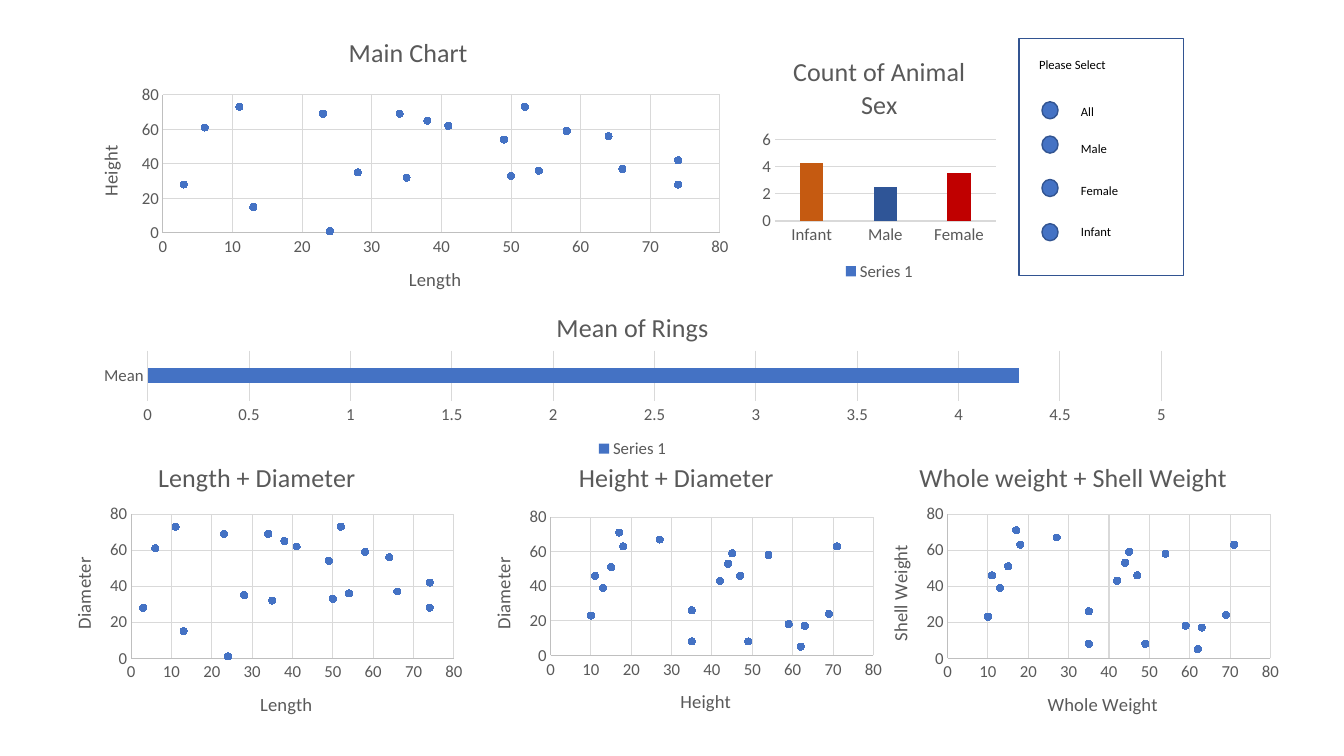
from lxml import etree
from pptx import Presentation
from pptx.chart.data import CategoryChartData, XyChartData
from pptx.dml.color import RGBColor
from pptx.enum.chart import XL_CHART_TYPE, XL_LEGEND_POSITION, XL_MARKER_STYLE, XL_TICK_MARK
from pptx.enum.shapes import MSO_SHAPE
from pptx.enum.text import MSO_AUTO_SIZE
from pptx.oxml import parse_xml
from pptx.oxml.ns import nsdecls, qn
from pptx.util import Pt

COLUMN = XL_CHART_TYPE.COLUMN_CLUSTERED
BAR = XL_CHART_TYPE.BAR_CLUSTERED
SCATTER = XL_CHART_TYPE.XY_SCATTER
BOTTOM = XL_LEGEND_POSITION.BOTTOM
CIRCLE = XL_MARKER_STYLE.CIRCLE
NO_TICK = XL_TICK_MARK.NONE
RECT, OVAL = MSO_SHAPE.RECTANGLE, MSO_SHAPE.OVAL
GROW = MSO_AUTO_SIZE.SHAPE_TO_FIT_TEXT

FONT = "Calibri"
COLORS = {
    "blue": "4472C4", "edge": "325491", "text": "595959", "black": "000000",
    "grid": "D9D9D9", "axis": "BFBFBF",
    "infant": "C55A11", "male": "2F5597", "female": "C00000",
}
LENGTHS = [
    (6, 61), (3, 28), (38, 65), (11, 73), (24, 1), (74, 28), (58, 59),
    (13, 15), (50, 33), (35, 32), (66, 37), (52, 73), (34, 69), (41, 62),
    (23, 69), (54, 36), (49, 54), (64, 56), (74, 42), (28, 35),
]
WEIGHTS = [
    (15, 51), (45, 59), (54, 58), (10, 23), (35, 26), (35, 8), (49, 8),
    (63, 17), (62, 5), (17, 71), (59, 18), (11, 46), (27, 67), (71, 63),
    (47, 46), (13, 39), (44, 53), (42, 43), (69, 24), (18, 63),
]
# Label, top of its button, top of its text
CHOICES = [
    ("All", 72.7, 70.6), ("Male", 97.2, 97.2),
    ("Female", 128.2, 127.4), ("Infant", 159.8, 156.2),
]


def color(name):
    return RGBColor.from_string(COLORS[name])


def points(box):
    return [Pt(n) for n in box]


def style(font, size, name="text"):
    font.name, font.size, font.bold = FONT, Pt(size), False
    font.color.rgb = color(name)


def fill(part, name):
    part.fill.solid()
    part.fill.fore_color.rgb = color(name)


def stroke(line, name, width=0.75):
    line.color.rgb = color(name)
    line.width = Pt(width)


def add_run(frame, text, size, name="text"):
    run = frame.paragraphs[0].add_run()
    run.text = text
    style(run.font, size, name)


def set_plot(chart, plot):
    """Place the inner plot area by fractions and make the chart clear."""
    root = chart._chartSpace
    area = root.find(".//" + qn("c:plotArea"))
    for old in area.findall(qn("c:layout")):
        area.remove(old)
    layout = etree.Element(qn("c:layout"))
    manual = etree.SubElement(layout, qn("c:manualLayout"))
    modes = [("layoutTarget", "inner"), ("xMode", "edge"), ("yMode", "edge")]
    for tag, val in modes + list(zip("xywh", plot)):
        etree.SubElement(manual, qn("c:" + tag)).set("val", str(val))
    area.insert(0, layout)
    clear = parse_xml(
        f'<c:spPr {nsdecls("c", "a")}><a:noFill/><a:ln><a:noFill/></a:ln></c:spPr>')
    root.find(qn("c:chart")).addnext(clear)


def add_chart(slide, kind, box, data, title, plot):
    chart = slide.shapes.add_chart(kind, *points(box), data).chart
    style(chart.font, 10, "black")
    chart.has_title = True
    add_run(chart.chart_title.text_frame, title, 18.6)
    chart.chart_title.include_in_layout = False
    chart.plots[0].vary_by_categories = False
    set_plot(chart, plot)
    return chart


def set_axis(axis, line=None, grid=False, title=None):
    axis.major_tick_mark = axis.minor_tick_mark = NO_TICK
    style(axis.tick_labels.font, 12)
    if line:
        stroke(axis.format.line, line)
    else:
        axis.format.line.fill.background()
    axis.has_major_gridlines = grid
    if grid:
        stroke(axis.major_gridlines.format.line, "grid")
    if title:
        add_run(axis.axis_title.text_frame, title, 13.3)


def set_scale(axis, top, step):
    axis.minimum_scale, axis.maximum_scale, axis.major_unit = 0, top, step


def add_scatter(slide, box, title, names, pairs, plot):
    data = XyChartData()
    series = data.add_series("Series 1")
    for x, y in pairs:
        series.add_data_point(x, y)
    chart = add_chart(slide, SCATTER, box, data, title, plot)
    chart.has_legend = False
    axes = (chart.category_axis, chart.value_axis)
    for axis, name, step in zip(axes, names, (10, 20)):
        set_axis(axis, "axis", True, name)
        set_scale(axis, 80, step)
    dots = chart.plots[0].series[0]
    dots.smooth = False
    dots.format.line.fill.background()
    dots.marker.style, dots.marker.size = CIRCLE, 5
    fill(dots.marker.format, "blue")
    stroke(dots.marker.format.line, "blue")


def add_bars(slide, kind, box, title, values, scale, plot):
    data = CategoryChartData()
    data.categories = list(values)
    data.add_series("Series 1", list(values.values()))
    chart = add_chart(slide, kind, box, data, title, plot)
    set_axis(chart.category_axis, "grid")
    set_axis(chart.value_axis, grid=True)
    set_scale(chart.value_axis, *scale)
    chart.has_legend = True
    chart.legend.position = BOTTOM
    chart.legend.include_in_layout = False
    style(chart.legend.font, 12)
    chart.plots[0].gap_width = 219
    fill(chart.plots[0].series[0].format, "blue")
    return chart.plots[0]


def add_shape(slide, kind, box, paint=None):
    shape = slide.shapes.add_shape(kind, *points(box))
    shape.shadow.inherit = False
    stroke(shape.line, "edge", 1)
    if paint:
        fill(shape, paint)
    else:
        shape.fill.background()


def add_label(slide, text, box):
    frame = slide.shapes.add_textbox(*points(box)).text_frame
    frame.word_wrap = True
    frame.auto_size = GROW
    add_run(frame, text, 9, "black")


def main():
    deck = Presentation()
    deck.slide_width, deck.slide_height = Pt(960), Pt(540)
    slide = deck.slides.add_slide(deck.slide_layouts[6])

    sexes = add_bars(slide, COLUMN, (541.4, 27.4, 173.5, 176.4), "Count of Animal Sex",
                     {"Infant": 4.3, "Male": 2.5, "Female": 3.5}, (6, 2),
                     (0.07, 0.41, 0.91, 0.33))
    sexes.overlap = -27
    for i, name in enumerate(("infant", "male", "female")):
        fill(sexes.series[0].points[i].format, name)
    add_bars(slide, BAR, (58.3, 211, 787, 119.5), "Mean of Rings",
             {"Mean": 4.3}, (5, 0.5), (0.06, 0.33, 0.92, 0.3))

    low, high = (0.2, 0.25, 0.77, 0.47), (0.2, 0.24, 0.77, 0.49)
    for left, title, names, pairs, plot in (
        (33.8, "Length + Diameter", ("Length", "Diameter"), LENGTHS, high),
        (333.4, "Height + Diameter", ("Height", "Diameter"), WEIGHTS, low),
        (617, "Whole weight + Shell Weight", ("Whole Weight", "Shell Weight"), WEIGHTS, high),
    ):
        add_scatter(slide, (left, 316.8, 299.5, 210.2), title, names, pairs, plot)
    add_scatter(slide, (54.7, 13, 473.8, 210.2), "Main Chart", ("Length", "Height"),
                LENGTHS, (0.13, 0.26, 0.84, 0.47))

    add_shape(slide, RECT, (727.9, 27.4, 117.4, 169.2))
    add_label(slide, "Please Select", (735.1, 37.4, 100, 18))
    for text, dot, top in CHOICES:
        add_shape(slide, OVAL, (744.3, dot, 11.5, 12.2), "blue")
        add_label(slide, text, (765, top, 51, 18))
    deck.save("out.pptx")


if __name__ == "__main__":
    main()
